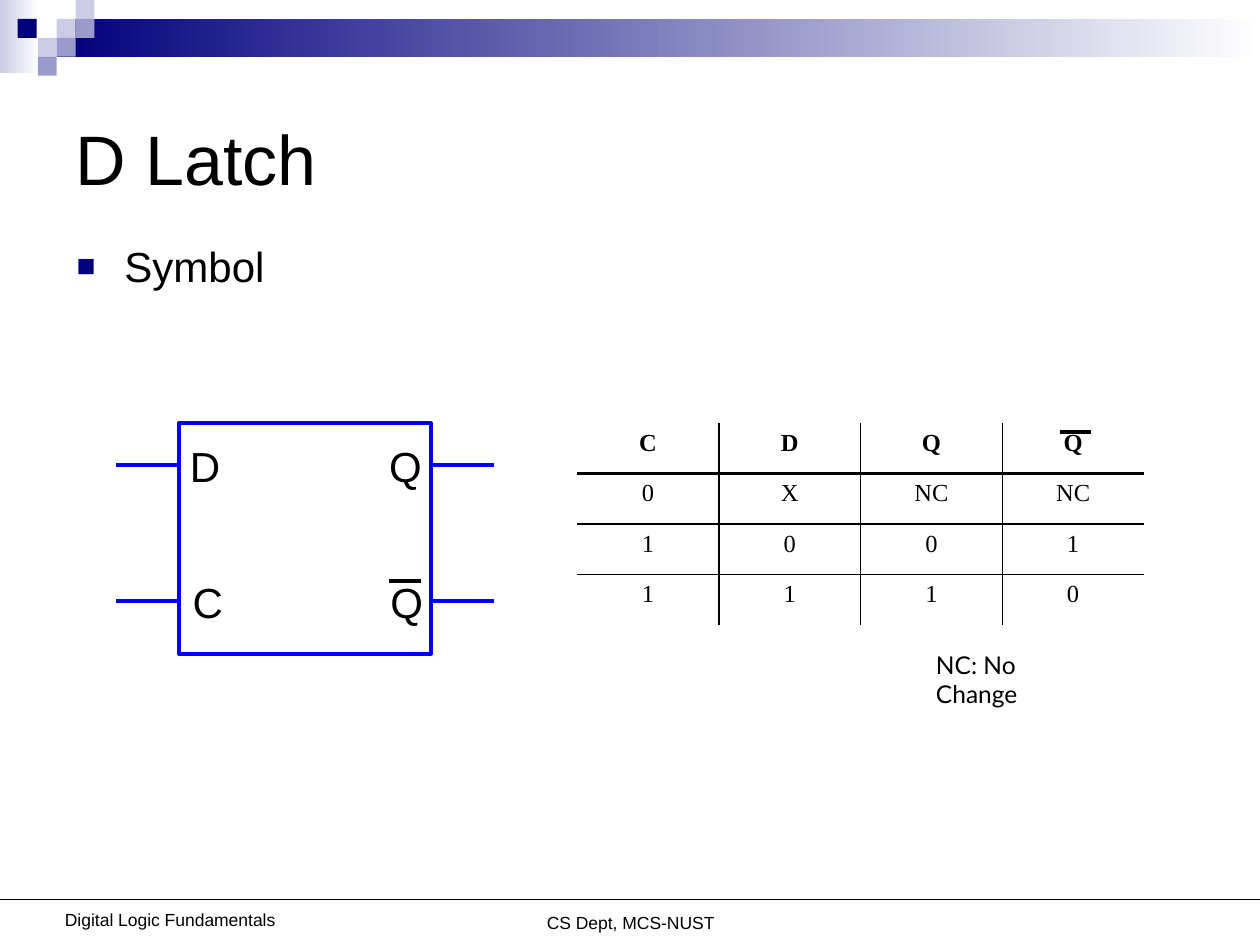
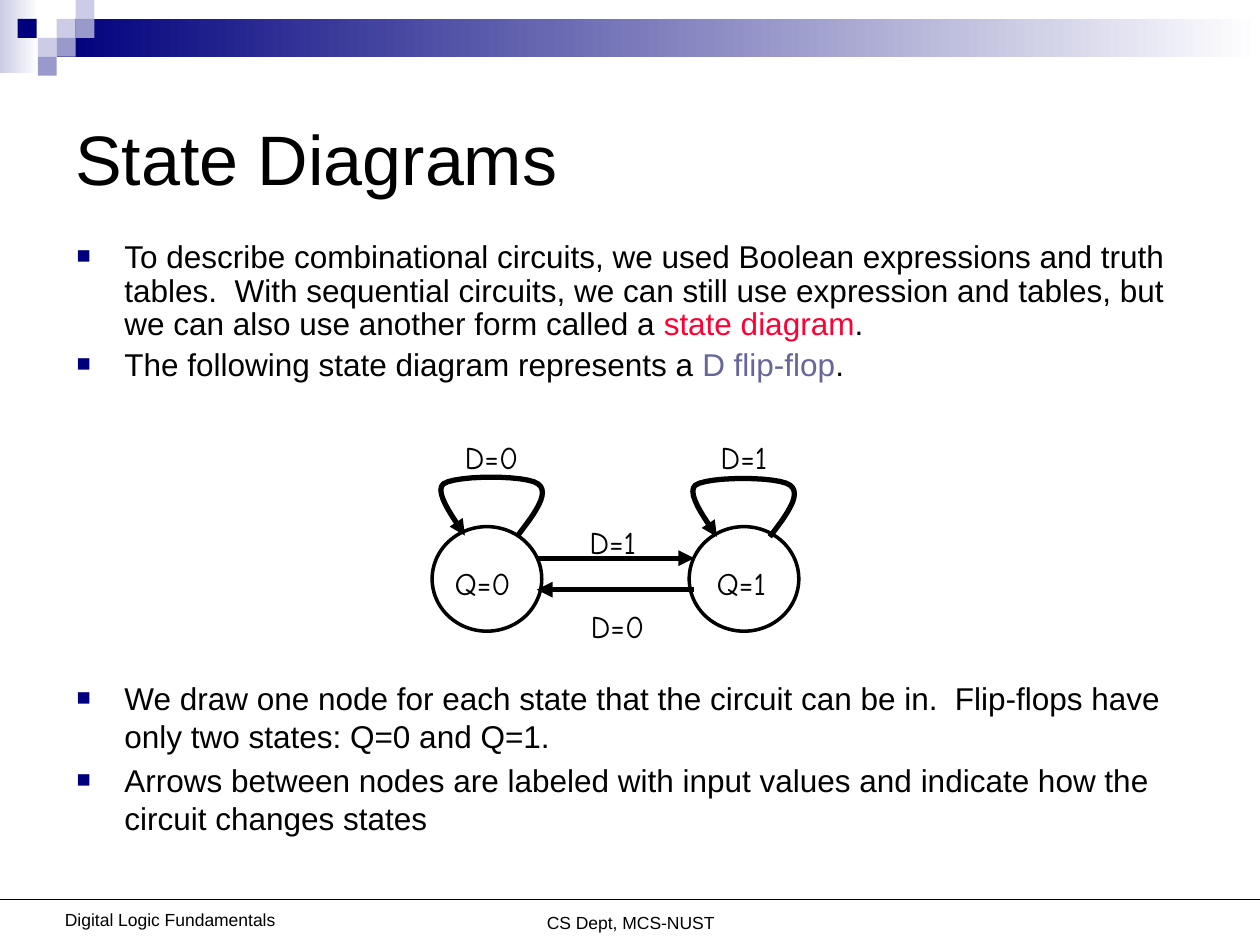
from dataclasses import dataclass

from lxml import etree
from pptx import Presentation
from pptx.dml.color import RGBColor
from pptx.enum.shapes import MSO_CONNECTOR as CONN, MSO_SHAPE as SHAPE
from pptx.enum.text import MSO_ANCHOR as ANCHOR, PP_ALIGN as ALIGN
from pptx.oxml.ns import qn
from pptx.util import Inches, Pt


@dataclass(frozen=True)
class Theme:
    ink: str = "000000"
    paper: str = "FFFFFF"
    navy: str = "00007D"
    lilac: str = "9999CC"
    pale: str = "CCCCE6"
    wire: str = "0000FF"
    red: str = "FF0033"
    slate: str = "666699"
    sans: str = "Arial"
    serif: str = "Times New Roman"
    comic: str = "Comic Neue"
    note: str = "Lato"
    title: int = 40
    large: int = 24
    body: int = 18
    small: int = 14
    footer: int = 10
    leading: float = 1.2


T = Theme()

# ---- Content ----
FOOTERS = [("CS Dept, MCS-NUST", 2.92, 7.19, 4.17),
           ("Digital Logic Fundamentals", 0.35, 7.17, 2)]

# Corner mosaic: left, top, colour
TILE = 0.15
TILES = [(0.45, 0.15, T.pale), (0.6, 0, T.pale), (0.6, 0.15, T.lilac),
         (0.3, 0.3, T.pale), (0.14, 0.15, T.navy), (0.45, 0.3, T.lilac),
         (0.3, 0.45, T.lilac)]

SYMBOL = [[("Symbol", T.ink)]]
PINS = [("D", 1.41, 3.45), ("C", 1.43, 4.53), ("Q", 2.99, 3.45), ("Q", 3, 4.53)]
TRUTH = [["C", "D", "Q", "Q"],
         ["0", "X", "NC", "NC"],
         ["1", "0", "0", "1"],
         ["1", "1", "1", "0"]]

INTRO = [
    [("To describe combinational circuits, we used Boolean expressions and truth "
      "tables.  With sequential circuits, we can still use expression and tables, "
      "but we can also use another form called a ", T.ink),
     ("state diagram", T.red), (".", T.ink)],
    [("The following state diagram represents a ", T.ink),
     ("D flip-flop", T.slate), (".", T.ink)],
]
RULES = [
    [("We draw one node for each state that the circuit can be in.  Flip-flops "
      "have only two states: Q=0 and Q=1.", T.ink)],
    [("Arrows between nodes are labeled with input values and indicate how the "
      "circuit changes states", T.ink)],
]
STATE_LABELS = [("D=0", 3.59, 3.43), ("D=1", 5.62, 3.43), ("D=1", 4.58, 4.1),
                ("D=0", 4.59, 4.77), ("Q=0", 3.51, 4.43), ("Q=1", 5.59, 4.43)]
NODE_LEFTS = [3.43, 5.47]
LOOP_ORIGINS = [(3.43, 3.77), (5.43, 3.78)]
# Self-loop: start point, then cubic segments, measured from the loop's origin
LOOP_START = (0.68, 0.48)
LOOP_CURVES = [[(0.81, 0.31), (0.94, 0.14), (0.84, 0.07)],
               [(0.75, 0), (0.19, 0), (0.09, 0.07)],
               [(0, 0.14), (0.23, 0.42), (0.26, 0.48)]]


# ---- Helpers ----
def rgb(color):
    return RGBColor.from_string(color)


def box(s, kind, x, y, w, h, fill=None, line=None, width=1.0):
    sp = s.shapes.add_shape(kind, *map(Inches, (x, y, w, h)))
    sp.shadow.inherit = False
    if fill is None:
        sp.fill.background()
    elif isinstance(fill, tuple):
        sp.fill.gradient()
        sp.fill.gradient_angle = 0
        for stop, color, at in zip(sp.fill.gradient_stops, fill, (0, 1)):
            stop.color.rgb, stop.position = rgb(color), at
    else:
        sp.fill.solid()
        sp.fill.fore_color.rgb = rgb(fill)
    if line:
        stroke(sp, line, width)
    else:
        sp.line.fill.background()
    return sp


def stroke(sp, color, width, arrow=False):
    sp.line.color.rgb = rgb(color)
    sp.line.width = Pt(width)
    if arrow:
        etree.SubElement(sp.line._get_or_add_ln(), qn("a:tailEnd"), type="triangle")


def line(s, x1, y1, x2, y2, color=T.ink, width=2.25, arrow=False):
    c = s.shapes.add_connector(CONN.STRAIGHT, *map(Inches, (x1, y1, x2, y2)))
    stroke(c, color, width, arrow)
    etree.SubElement(c._element.spPr, qn("a:effectLst"))


def run(p, text, size, font=T.sans, color=T.ink, bold=False):
    r = p.add_run()
    r.text = text
    r.font.size, r.font.name, r.font.bold = Pt(size), font, bold
    r.font.color.rgb = rgb(color)


def frame(s, x, y, w, h, wrap=True, anchor=ANCHOR.TOP):
    tf = s.shapes.add_textbox(*map(Inches, (x, y, w, h))).text_frame
    tf.word_wrap, tf.vertical_anchor = wrap, anchor
    return tf


def label(s, text, x, y, size, font=T.sans, w=0.66, h=0.4, wrap=False):
    run(frame(s, x, y, w, h, wrap).paragraphs[0], text, size, font)


def bullets(s, items, y, h, size, spacing=1.0):
    tf = frame(s, 0.51, y, 9, h)
    for i, runs in enumerate(items):
        p = tf.add_paragraph() if i else tf.paragraphs[0]
        pPr = p._p.get_or_add_pPr()
        pPr.set("marL", str(Inches(0.38)))
        pPr.set("indent", str(Inches(-0.38)))
        clr = etree.SubElement(pPr, qn("a:buClr"))
        etree.SubElement(clr, qn("a:srgbClr"), val=T.navy)
        etree.SubElement(pPr, qn("a:buSzPct"), val="75000")
        etree.SubElement(pPr, qn("a:buFont"), typeface=T.sans)
        etree.SubElement(pPr, qn("a:buChar"), char="■")
        p.line_spacing = Pt(round(size * T.leading * spacing, 1))
        if i:
            p.space_before = Pt(size * 0.2)
        for text, color in runs:
            run(p, text, size, color=color)


def new_slide(prs, title):
    s = prs.slides.add_slide(prs.slide_layouts[6])
    # Top band and mosaic
    box(s, SHAPE.RECTANGLE, 0, 0, 0.31, 0.58, (T.pale, T.paper))
    box(s, SHAPE.RECTANGLE, 0.45, 0.15, 9.55, 0.3, (T.navy, T.paper))
    for x, y, color in TILES:
        box(s, SHAPE.RECTANGLE, x, y, TILE, TILE, color)
    # Footer
    for text, x, y, w in FOOTERS:
        p = frame(s, x, y, w, 0.26, anchor=ANCHOR.MIDDLE).paragraphs[0]
        p.alignment = ALIGN.CENTER
        run(p, text, T.footer)
    line(s, 0, 7.14, 10, 7.14, width=0.75)
    # Title
    tf = frame(s, 0.5, 0.5, 9, 1.5, anchor=ANCHOR.MIDDLE)
    run(tf.paragraphs[0], title, T.title)
    return s


def borders(cell, sides):
    tcPr = cell._tc.get_or_add_tcPr()
    for i, (side, width) in enumerate(sides.items()):
        ln = etree.Element(qn(f"a:ln{side}"), w=str(Pt(width)))
        fill = etree.SubElement(ln, qn("a:solidFill" if width else "a:noFill"))
        if width:
            etree.SubElement(fill, qn("a:srgbClr"), val=T.ink)
        tcPr.insert(i, ln)


def truth_table(s, x, y, w, h):
    rows, cols = len(TRUTH), len(TRUTH[0])
    t = s.shapes.add_table(rows, cols, *map(Inches, (x, y, w, h))).table
    t.first_row = t.horz_banding = False
    for i, row in enumerate(TRUTH):
        for j, text in enumerate(row):
            cell = t.cell(i, j)
            cell.fill.background()
            p = cell.text_frame.paragraphs[0]
            p.alignment = ALIGN.CENTER
            run(p, text, T.small, T.serif, bold=i == 0)
            borders(cell, {"L": 1 if j else 0,
                           "R": 1 if j < cols - 1 else 0,
                           "T": (0, 2.25, 1, 1)[i],
                           "B": (2.25, 1, 1, 0)[i]})


def self_loop(s, ox, oy, steps=12):
    points, start = [LOOP_START], LOOP_START
    for a, b, end in LOOP_CURVES:
        for k in range(1, steps + 1):
            t = k / steps
            u = 1 - t
            points.append(tuple(
                u**3 * p0 + 3 * u * u * t * p1 + 3 * u * t * t * p2 + t**3 * p3
                for p0, p1, p2, p3 in zip(start, a, b, end)))
        start = end
    # The builder rounds its coordinates, so they are given in EMU
    first, *rest = [(Inches(ox + x), Inches(oy + y)) for x, y in points]
    fb = s.shapes.build_freeform(*first)
    fb.add_line_segments(rest, close=False)
    sp = fb.convert_to_shape()
    sp.shadow.inherit = False
    sp.fill.background()
    stroke(sp, T.ink, 3, arrow=True)


# ---- Slides ----
def d_latch(prs):
    s = new_slide(prs, "D Latch")
    bullets(s, SYMBOL, 1.86, 0.55, T.large)
    # Latch symbol
    left, width, lead = 1.42, 2, 0.5
    box(s, SHAPE.RECTANGLE, left, 3.36, width, 1.83, line=T.wire, width=2.25)
    for text, x, y in PINS:
        label(s, text, x, y, T.large, w=0.46, h=0.5)
    for y in (3.69, 4.77):
        for x in (left - lead, left + width):
            line(s, x, y, x + lead, y, T.wire)
    # Truth table and the bars over Q
    truth_table(s, 4.58, 3.36, 4.5, 1.6)
    for x, y in ((3.09, 4.61), (8.41, 3.43)):
        line(s, x, y, x + 0.25, y)
    label(s, "NC: No Change", 7.33, 5.11, T.small, T.note, w=1, h=0.55, wrap=True)


def state_diagrams(prs):
    s = new_slide(prs, "State Diagrams")
    bullets(s, INTRO, 1.86, 1.3, T.body, 0.9)
    bullets(s, RULES, 5.34, 1.4, T.body)
    # State nodes with their loops
    for origin in LOOP_ORIGINS:
        self_loop(s, *origin)
    for x in NODE_LEFTS:
        box(s, SHAPE.OVAL, x, 4.18, 0.87, 0.83, line=T.ink, width=2)
    # Transitions
    line(s, 4.26, 4.43, 5.51, 4.43, width=3, arrow=True)
    line(s, 5.51, 4.68, 4.26, 4.68, width=3, arrow=True)
    for text, x, y in STATE_LABELS:
        label(s, text, x, y, T.body, T.comic)


def main():
    prs = Presentation()
    prs.slide_width, prs.slide_height = Inches(10), Inches(7.5)
    d_latch(prs)
    state_diagrams(prs)
    prs.save("out.pptx")


if __name__ == "__main__":
    main()
